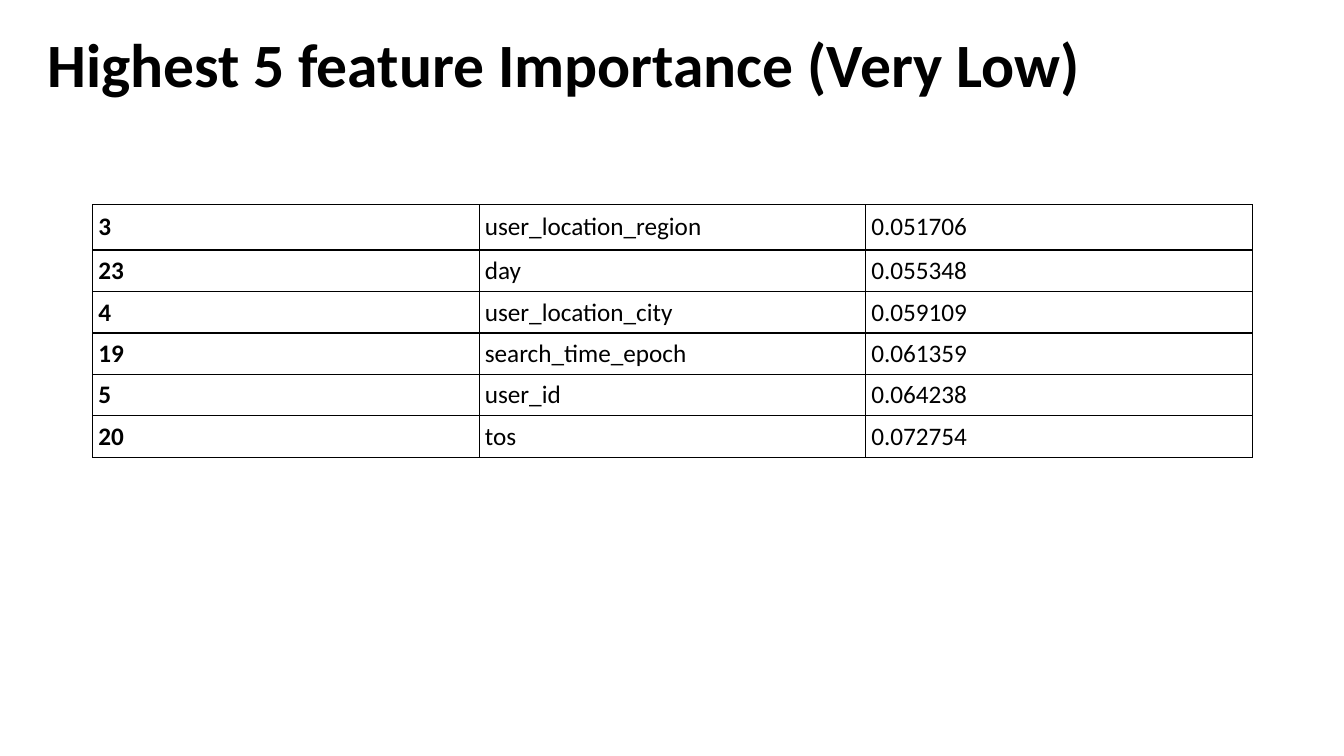
"""Build a slide that tables the most important features."""
from pptx import Presentation
from pptx import util as u
from pptx.dml.color import RGBColor
from pptx.enum import text
from pptx.oxml import parse_xml
from pptx.oxml.ns import nsdecls

theme = {
    "font": "Calibri",
    "ink": "000000",
    "paper": "FFFFFF",
    "title": 44,
    "body": 18,
    "rule": 1,
    "pad": 4,
}

rows = [
    ("3", "user_location_region", "0.051706"),
    ("23", "day", "0.055348"),
    ("4", "user_location_city", "0.059109"),
    ("19", "search_time_epoch", "0.061359"),
    ("5", "user_id", "0.064238"),
    ("20", "tos", "0.072754"),
]


def style(para, size, bold):
    font = para.font
    font.name = theme["font"]
    font.size = u.Pt(size)
    font.bold = bold
    font.color.rgb = RGBColor.from_string(theme["ink"])


def frame(cell):
    props = cell._tc.get_or_add_tcPr()
    for spot, side in enumerate(("lnL", "lnR", "lnT", "lnB")):
        line = parse_xml(
            f'<a:{side} {nsdecls("a")} w="{u.Pt(theme["rule"])}">'
            f'<a:solidFill><a:srgbClr val="{theme["ink"]}"/></a:solidFill>'
            f'</a:{side}>'
        )
        props.insert(spot, line)


deck = Presentation()
deck.slide_width = u.Inches(13.33)
deck.slide_height = u.Inches(7.5)
slide = deck.slides.add_slide(deck.slide_layouts[6])

box = slide.shapes.add_textbox(
    u.Inches(0.37), u.Inches(0.16), u.Inches(12.6), u.Inches(1.03)
)
title = box.text_frame
title.word_wrap = True
title.vertical_anchor = text.MSO_ANCHOR.MIDDLE
title.text = "Highest 5 feature Importance (Very Low)"
title.paragraphs[0].line_spacing = 0.9
style(title.paragraphs[0], theme["title"], True)

wide, first, rest = u.Inches(11.5), u.Inches(0.45), u.Inches(0.41)
high = first + rest * (len(rows) - 1)
table = slide.shapes.add_table(
    len(rows), len(rows[0]), u.Inches(0.92), u.Inches(2.03), wide, high
).table
table.first_row = False
table.horz_banding = False

for r, row in enumerate(rows):
    table.rows[r].height = rest if r else first
    for c, word in enumerate(row):
        cell = table.cell(r, c)
        cell.text = word
        cell.vertical_anchor = text.MSO_ANCHOR.MIDDLE
        cell.margin_left = cell.margin_right = u.Pt(theme["pad"])
        cell.margin_top = cell.margin_bottom = u.Pt(theme["pad"])
        cell.fill.solid()
        cell.fill.fore_color.rgb = RGBColor.from_string(theme["paper"])
        style(cell.text_frame.paragraphs[0], theme["body"], c == 0)
        frame(cell)

deck.save("out.pptx")
